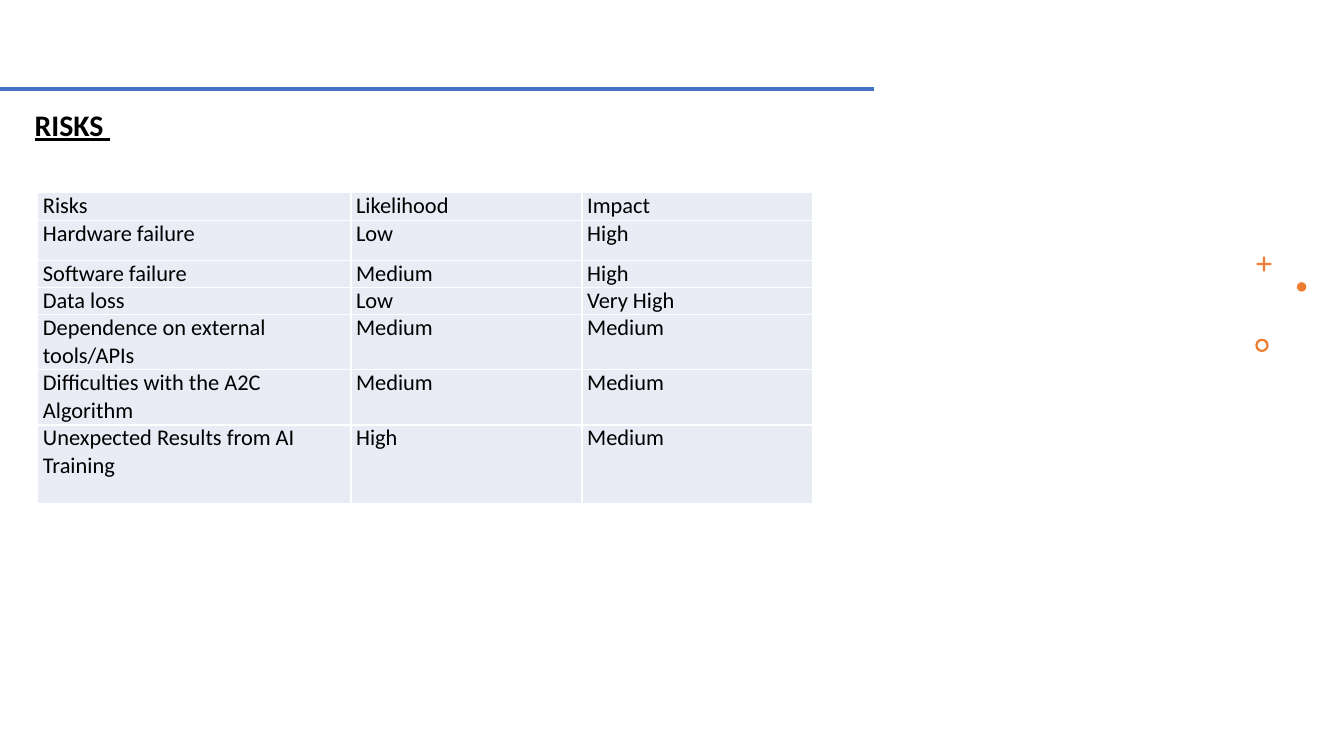
from lxml import etree
from pptx import Presentation
from pptx.dml.color import RGBColor
from pptx.enum.shapes import MSO_CONNECTOR, MSO_SHAPE
from pptx.enum.text import MSO_ANCHOR
from pptx.oxml.ns import qn
from pptx.util import Inches, Pt

STRAIGHT = MSO_CONNECTOR.STRAIGHT
CROSS, OVAL, DONUT = MSO_SHAPE.CROSS, MSO_SHAPE.OVAL, MSO_SHAPE.DONUT
BOTTOM = MSO_ANCHOR.BOTTOM

BLACK = RGBColor(0x00, 0x00, 0x00)
WHITE = RGBColor(0xFF, 0xFF, 0xFF)
BLUE = RGBColor(0x44, 0x72, 0xC4)
ORANGE = RGBColor(0xED, 0x7D, 0x31)
CELL = RGBColor(0xE9, 0xEB, 0xF5)
FONT = "Calibri"

COLUMNS = [2.33, 1.72, 1.72]
# Row height, then the cell texts
RISKS = [
    (0.21, "Risks", "Likelihood", "Impact"),
    (0.3, "Hardware failure", "Low", "High"),
    (0.2, "Software failure", "Medium", "High"),
    (0.2, "Data loss", "Low", "Very High"),
    (0.41, "Dependence on external tools/APIs", "Medium", "Medium"),
    (0.41, "Difficulties with the A2C Algorithm", "Medium", "Medium"),
    (0.59, "Unexpected Results from AI Training", "High", "Medium"),
]


def add_run(p, text, size):
    r = p.add_run()
    r.text = text
    r.font.name, r.font.size = FONT, Pt(size)
    r.font.color.rgb = BLACK
    return r


def add_title(s, x, y, w, h):
    tf = s.shapes.add_textbox(Inches(x), Inches(y), Inches(w), Inches(h)).text_frame
    tf.word_wrap = True
    tf.vertical_anchor = BOTTOM
    p = tf.paragraphs[0]
    p.line_spacing = 0.9
    r = add_run(p, "RISKS ", 16)
    r.font.bold = r.font.underline = True


def add_rule(s, x, y, w):
    line = s.shapes.add_connector(STRAIGHT, Inches(x), Inches(y), Inches(x + w), Inches(y))
    line.line.color.rgb = BLUE
    line.line.width = Pt(2.25)
    etree.SubElement(line._element.spPr, qn("a:effectLst"))


def add_ornaments(s, x, y):
    # Shape, offset from the group corner, size, thickness adjustment
    for shape, dx, dy, size, adjustment in [
        (CROSS, 0.01, 0, 0.11, 0.43),
        (OVAL, 0.31, 0.19, 0.07, None),
        (DONUT, 0, 0.61, 0.1, 0.17),
    ]:
        sp = s.shapes.add_shape(shape, Inches(x + dx), Inches(y + dy),
                                Inches(size), Inches(size))
        sp.shadow.inherit = False
        sp.fill.solid()
        sp.fill.fore_color.rgb = ORANGE
        sp.line.fill.background()
        if adjustment is not None:
            sp.adjustments[0] = adjustment


def add_borders(cell):
    tc_pr = cell._tc.get_or_add_tcPr()
    for side in ("a:lnL", "a:lnR", "a:lnT", "a:lnB"):
        ln = etree.SubElement(tc_pr, qn(side), w=str(Pt(1)))
        fill = etree.SubElement(ln, qn("a:solidFill"))
        etree.SubElement(fill, qn("a:srgbClr"), val=str(WHITE))


def add_risk_table(s, x, y):
    height = sum(row[0] for row in RISKS)
    table = s.shapes.add_table(len(RISKS), len(COLUMNS), Inches(x), Inches(y),
                               Inches(sum(COLUMNS)), Inches(height)).table
    table.first_row = table.horz_banding = False
    for column, width in zip(table.columns, COLUMNS):
        column.width = Inches(width)
    for row, (row_height, *texts) in zip(table.rows, RISKS):
        row.height = Inches(row_height)
        for cell, text in zip(row.cells, texts):
            cell.margin_left = cell.margin_right = Inches(0.04)
            cell.margin_top = cell.margin_bottom = 0
            add_borders(cell)
            cell.fill.solid()
            cell.fill.fore_color.rgb = CELL
            add_run(cell.text_frame.paragraphs[0], text, 12)


def main():
    prs = Presentation()
    # Widescreen, 16:9
    prs.slide_width = Inches(10)
    prs.slide_height = prs.slide_width * 9 // 16
    s = prs.slides.add_slide(prs.slide_layouts[6])
    add_title(s, 0.16, 0.21, 8.65, 0.9)
    add_rule(s, 0, 0.66, 6.5)
    add_ornaments(s, 9.34, 1.91)
    add_risk_table(s, 0.28, 1.43)
    prs.save("out.pptx")


if __name__ == "__main__":
    main()
